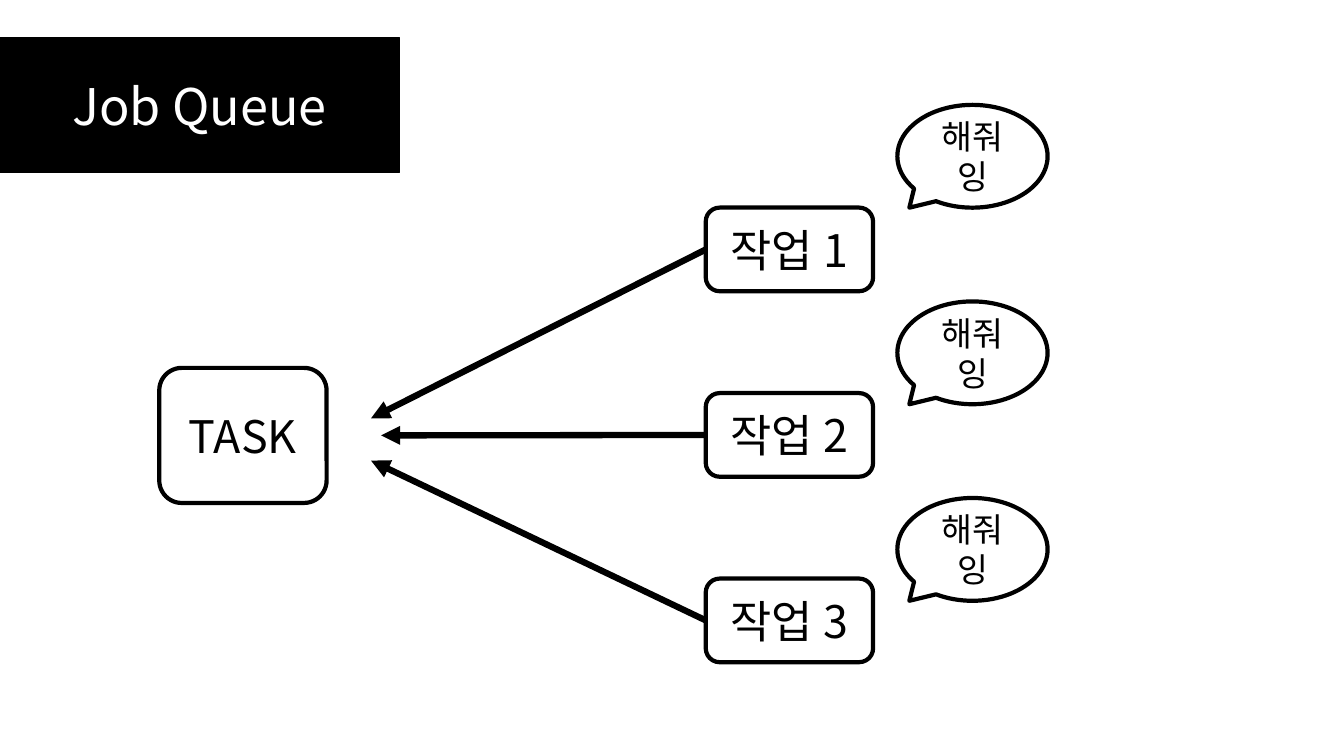
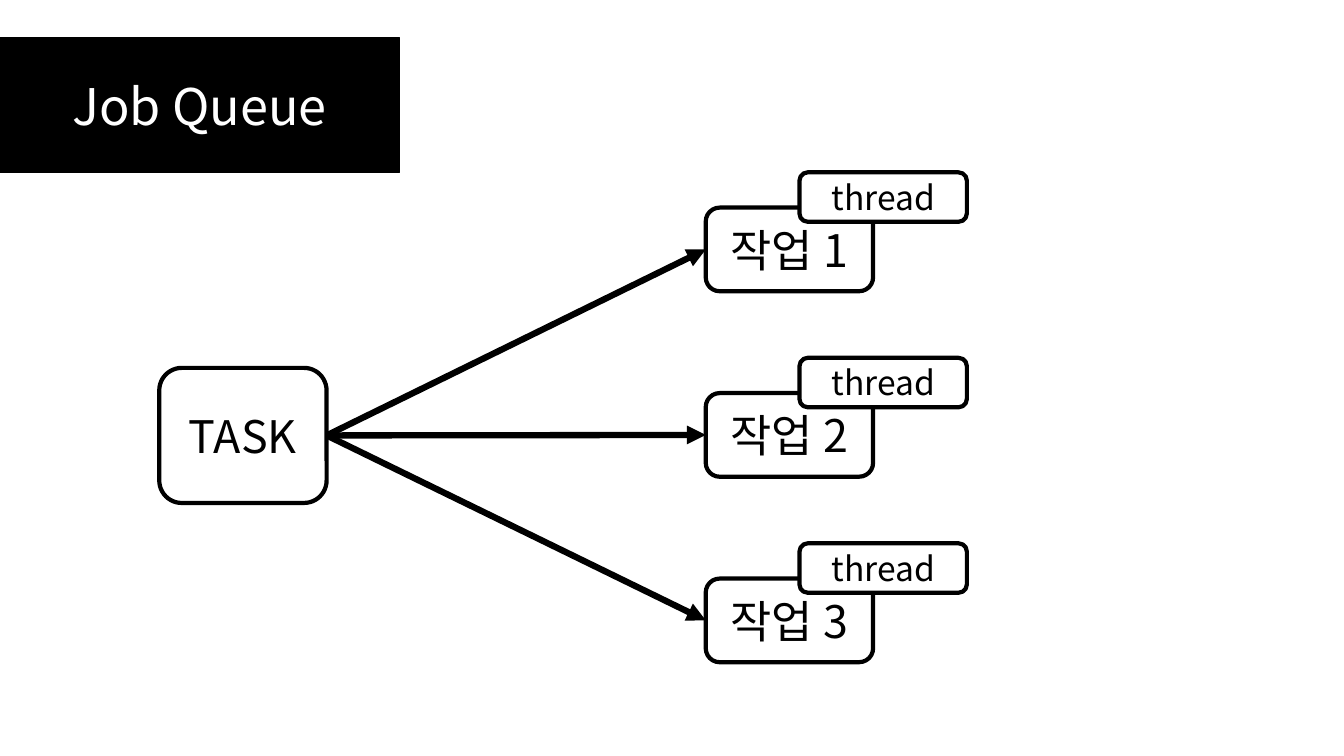
from dataclasses import dataclass

import pptx
import pptx.dml.color
import pptx.enum.shapes
import pptx.enum.text
import pptx.oxml
import pptx.oxml.ns
import pptx.presentation
import pptx.shapes.autoshape
import pptx.shapes.connector
import pptx.slide
import pptx.util

Inches = pptx.util.Inches
Shape = pptx.shapes.autoshape.Shape
Slide = pptx.slide.Slide
RGBColor = pptx.dml.color.RGBColor
Preset = pptx.enum.shapes.MSO_SHAPE

BLACK = RGBColor(0x00, 0x00, 0x00)
WHITE = RGBColor(0xFF, 0xFF, 0xFF)
FONT = "Noto Sans CJK KR"
TITLE_ONLY = 5
LEFT_SITE, RIGHT_SITE = 1, 3
JOB_COUNT = 3
JOB_PITCH = 1.84
CALLOUT_PITCH = 1.95


@dataclass(frozen=True)
class Box:
    text: str
    left: float
    top: float
    width: float
    height: float
    size: int = 32
    preset: Preset = Preset.ROUNDED_RECTANGLE
    adjustments: tuple[float, ...] = ()


TITLE = Box("Job Queue", 0, 0.37, 3.96, 1.34, 36)
TASK = Box("TASK", 1.58, 3.65, 1.66, 1.34)
JOBS = [Box(f"작업 {index + 1}", 7, 2.06 + index * JOB_PITCH, 1.66, 0.83)
        for index in range(JOB_COUNT)]
CALLOUTS = [Box("해줘잉", 8.9, 1.04 + index * CALLOUT_PITCH, 1.49, 1.02, 24,
                Preset.OVAL_CALLOUT, (-0.42, 0.5))
            for index in range(JOB_COUNT)]
THREADS = [Box("thread", job.left + 0.93, job.top - 0.35, 1.66, 0.49, 24)
           for job in JOBS]
REQUEST_ENDS = [(3.68, 4.15), (3.78, 4.32), (3.68, 4.57)]


def write_text(shape: Shape, text: str, size: int, color: RGBColor) -> None:
    frame = shape.text_frame
    frame.text = text
    frame.word_wrap = True
    frame.vertical_anchor = pptx.enum.text.MSO_ANCHOR.MIDDLE
    para = frame.paragraphs[0]
    para.alignment = pptx.enum.text.PP_ALIGN.CENTER
    for span in para.runs:
        span.font.name = FONT
        span.font.size = pptx.util.Pt(size)
        span.font.color.rgb = color
        properties = span.font._element
        east_asian = pptx.oxml.parse_xml(
            f'<a:ea {pptx.oxml.ns.nsdecls("a")} typeface="{FONT}"/>')
        properties.find(pptx.oxml.ns.qn("a:latin")).addnext(east_asian)


def paint(shape: Shape, fill: RGBColor, line_width: float) -> None:
    shape.fill.solid()
    shape.fill.fore_color.rgb = fill
    shape.line.color.rgb = BLACK
    shape.line.width = pptx.util.Pt(line_width)


def add_title(page: Slide) -> None:
    title = page.shapes.title
    title.left, title.top = Inches(TITLE.left), Inches(TITLE.top)
    title.width, title.height = Inches(TITLE.width), Inches(TITLE.height)
    paint(title, BLACK, 1)
    write_text(title, TITLE.text, TITLE.size, WHITE)


def add_box(page: Slide, box: Box) -> Shape:
    shape = page.shapes.add_shape(
        box.preset, Inches(box.left), Inches(box.top),
        Inches(box.width), Inches(box.height))
    for index, value in enumerate(box.adjustments):
        shape.adjustments[index] = value
    shape.shadow.inherit = False
    paint(shape, WHITE, 3)
    write_text(shape, box.text, box.size, BLACK)
    return shape


def add_arrow(page: Slide, end_x: float = 0,
              end_y: float = 0) -> pptx.shapes.connector.Connector:
    arrow = page.shapes.add_connector(
        pptx.enum.shapes.MSO_CONNECTOR.STRAIGHT,
        0, 0, Inches(end_x), Inches(end_y))
    arrow.line.color.rgb = BLACK
    arrow.line.width = pptx.util.Pt(4.5)
    namespace = pptx.oxml.ns.nsdecls("a")
    arrow.line._get_or_add_ln().append(
        pptx.oxml.parse_xml(f'<a:tailEnd {namespace} type="triangle"/>'))
    arrow._element.spPr.append(
        pptx.oxml.parse_xml(f"<a:effectLst {namespace}/>"))
    return arrow


def add_queue_page(
        deck: pptx.presentation.Presentation) -> tuple[Slide, Shape, list[Shape]]:
    page = deck.slides.add_slide(deck.slide_layouts[TITLE_ONLY])
    add_title(page)
    task = add_box(page, TASK)
    return page, task, [add_box(page, job) for job in JOBS]


def add_request_page(deck: pptx.presentation.Presentation) -> None:
    page, _, jobs = add_queue_page(deck)
    for job, end in zip(jobs, REQUEST_ENDS):
        add_arrow(page, *end).begin_connect(job, LEFT_SITE)
    for callout in CALLOUTS:
        add_box(page, callout)


def add_thread_page(deck: pptx.presentation.Presentation) -> None:
    page, task, jobs = add_queue_page(deck)
    for job in jobs:
        arrow = add_arrow(page)
        arrow.begin_connect(task, RIGHT_SITE)
        arrow.end_connect(job, LEFT_SITE)
    for thread in THREADS:
        add_box(page, thread)


def main() -> None:
    deck = pptx.Presentation()
    deck.slide_width = Inches(13.33)
    deck.slide_height = Inches(7.5)
    add_request_page(deck)
    add_thread_page(deck)
    deck.save("out.pptx")


if __name__ == "__main__":
    main()
